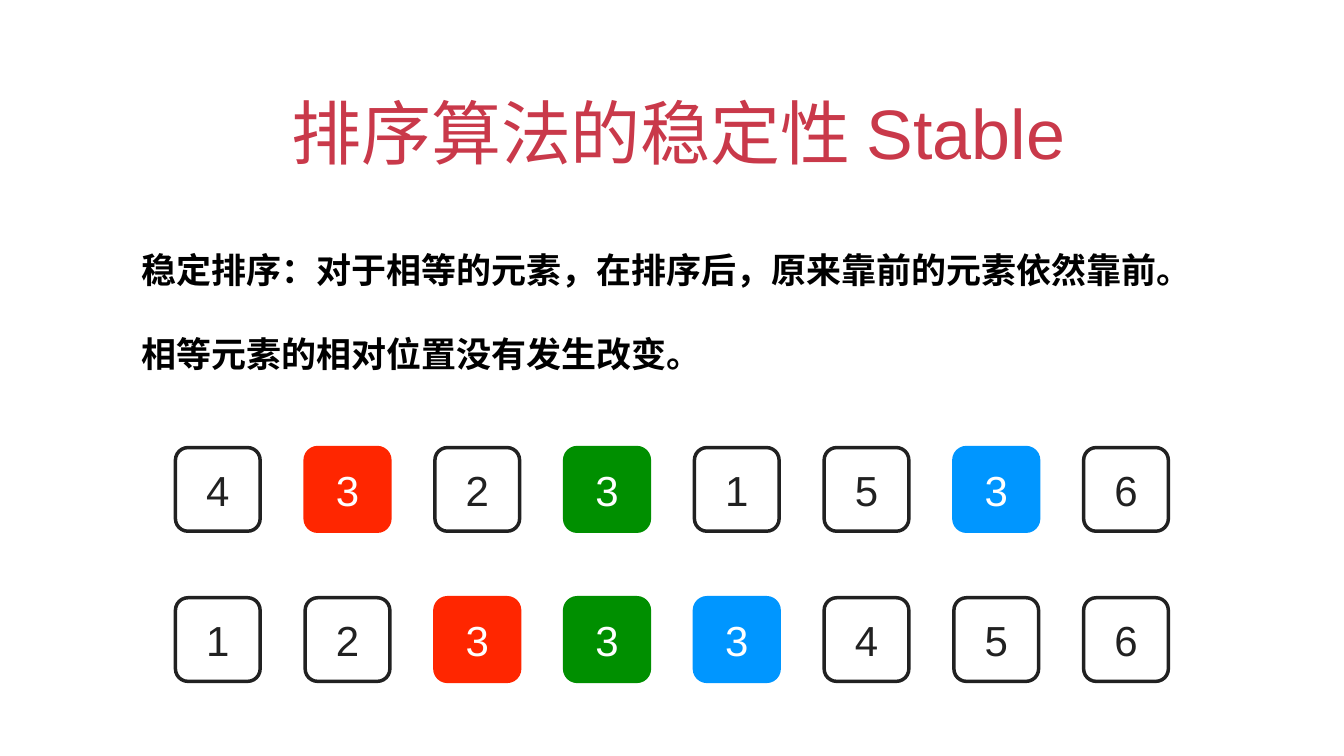
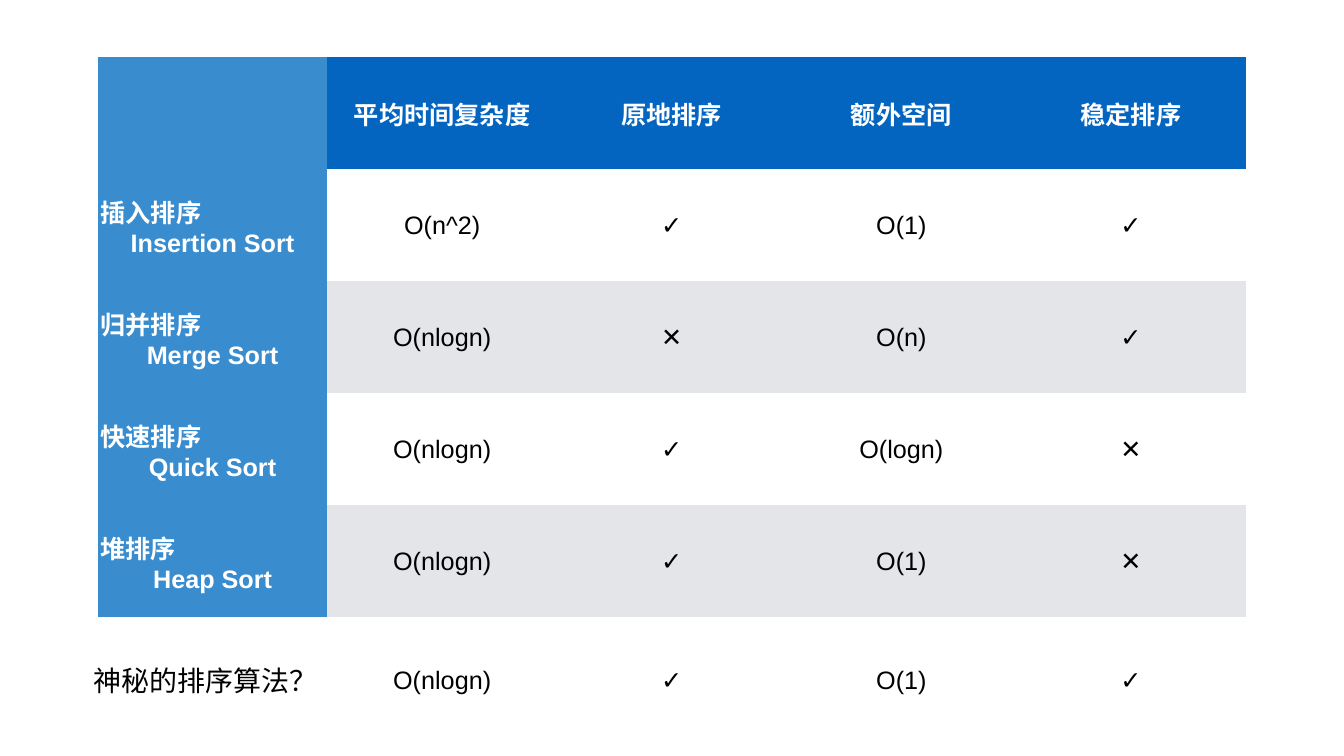
from dataclasses import dataclass

from lxml import etree
from pptx import Presentation
from pptx.dml.color import RGBColor
from pptx.enum.shapes import MSO_SHAPE
from pptx.enum.text import MSO_ANCHOR, PP_ALIGN
from pptx.oxml.ns import qn
from pptx.util import Pt

ROUNDED = MSO_SHAPE.ROUNDED_RECTANGLE
MIDDLE, BOTTOM = MSO_ANCHOR.MIDDLE, MSO_ANCHOR.BOTTOM
LEFT, CENTER = PP_ALIGN.LEFT, PP_ALIGN.CENTER
NO_STYLE_NO_GRID = "{2D5ABB26-0587-4C30-8999-92F81FD0307C}"


@dataclass(frozen=True)
class Theme:
    sans: str = "Arial"
    mono: str = "Noto Sans Mono"
    title: str = "C9394A"
    ink: str = "212121"
    black: str = "000000"
    white: str = "FFFFFF"
    red: str = "FF2600"
    green: str = "008F00"
    blue: str = "0096FF"
    header: str = "0365C0"
    row_header: str = "398CCE"
    band: str = "E3E5E8"
    title_size: int = 100
    number_size: int = 60
    body_size: int = 50
    caption_size: int = 40
    table_size: int = 36


THEME = Theme()
INSET = 4
TABLE_LEFT, COLUMN_WIDTH, ROW_HEIGHT = 139.7, 328, 160
TILE_LEFT, TILE_PITCH = 250.6, 185.35
TILE_WIDTH, TILE_HEIGHT = 121, 119.5

INPUT_TILES = [(4, None), (3, THEME.red), (2, None), (3, THEME.green),
               (1, None), (5, None), (3, THEME.blue), (6, None)]
SORTED_TILES = [(1, None), (2, None), (3, THEME.red), (3, THEME.green),
                (3, THEME.blue), (4, None), (5, None), (6, None)]

COMPARISON = [
    ["", "平均时间复杂度", "原地排序", "额外空间", "稳定排序"],
    ["插入排序\nInsertion Sort", "O(n^2)", "✓", "O(1)", "✓"],
    ["归并排序\nMerge Sort", "O(nlogn)", "✕", "O(n)", "✓"],
    ["快速排序\nQuick Sort", "O(nlogn)", "✓", "O(logn)", "✕"],
    ["堆排序\nHeap Sort", "O(nlogn)", "✓", "O(1)", "✕"],
]
MYSTERY = [["", "O(nlogn)", "✓", "O(1)", "✓"]]


def rgb(value):
    return RGBColor.from_string(value)


def apply(target, values):
    for name, value in values.items():
        setattr(target, name, value)


def add_line(para, text, size, color, align=CENTER, font=THEME.sans, bold=False):
    para.alignment = align
    span = para.add_run()
    span.text = text
    apply(span.font, {"name": font, "size": Pt(size), "bold": bold})
    span.font.color.rgb = rgb(color)


def set_margins(target):
    for side in ("left", "top", "right", "bottom"):
        setattr(target, f"margin_{side}", Pt(INSET))


def prepare_frame(shape, anchor=MIDDLE, wrap=True):
    frame = shape.text_frame
    set_margins(frame)
    apply(frame, {"vertical_anchor": anchor, "word_wrap": wrap})
    return frame


def add_text_box(page, left, top, width, height, **options):
    box = page.shapes.add_textbox(Pt(left), Pt(top), Pt(width), Pt(height))
    return prepare_frame(box, **options)


def add_title(page, text):
    para = add_text_box(page, TABLE_LEFT, 91.4, 1640, 160, anchor=BOTTOM).paragraphs[0]
    add_line(para, text, THEME.title_size, THEME.title)
    para._p.get_or_add_pPr().set("indent", str(Pt(18)))


def add_definition(page, lines):
    frame = add_text_box(page, 198.7, 340.6, 1523.5, 207.4)
    for index, line in enumerate(lines):
        para = frame.add_paragraph() if index else frame.paragraphs[0]
        apply(para, {"line_spacing": Pt(60), "space_before": Pt(60 if index else 0)})
        add_line(para, line, THEME.body_size, THEME.black, LEFT, THEME.mono, True)


def add_tile(group, left, top, number, color):
    """Add one array element; a colour marks it as one of the equal elements."""
    tile = group.shapes.add_shape(ROUNDED, Pt(left), Pt(top),
                                  Pt(TILE_WIDTH), Pt(TILE_HEIGHT))
    tile.shadow.inherit = False
    tile.adjustments[0] = 0.15
    if color:
        tile.fill.solid()
        tile.fill.fore_color.rgb = rgb(color)
    else:
        tile.fill.background()
    tile.line.width = Pt(5)
    tile.line.color.rgb = rgb(color or THEME.ink)
    add_line(prepare_frame(tile).paragraphs[0], str(number), THEME.number_size,
             THEME.white if color else THEME.ink)


def add_tile_row(page, top, tiles):
    group = page.shapes.add_group_shape()
    for index, (number, color) in enumerate(tiles):
        add_tile(group, TILE_LEFT + index * TILE_PITCH, top, number, color)


def cell_fill(row, column, has_headers):
    if not has_headers:
        return THEME.white
    if column == 0:
        return THEME.row_header
    if row == 0:
        return THEME.header
    return THEME.white if row % 2 else THEME.band


def fill_cell(cell, text, fill, is_header):
    set_margins(cell)
    cell.vertical_anchor = MIDDLE
    cell.fill.solid()
    cell.fill.fore_color.rgb = rgb(fill)
    if not text:
        return
    lines = text.split("\n")
    for index, line in enumerate(lines):
        frame = cell.text_frame
        para = frame.add_paragraph() if index else frame.paragraphs[0]
        is_last = index == len(lines) - 1
        add_line(para, line, THEME.table_size,
                 THEME.white if is_header else THEME.black,
                 CENTER if is_last else LEFT, bold=is_header)


def add_grid(page, top, row_height, rows, has_headers):
    columns = len(rows[0])
    table = page.shapes.add_table(
        len(rows), columns, Pt(TABLE_LEFT), Pt(top),
        Pt(columns * COLUMN_WIDTH), Pt(len(rows) * row_height)).table
    apply(table, {"first_row": has_headers, "first_col": has_headers,
                  "horz_banding": False})
    properties = table._tbl.tblPr
    style = properties.find(qn("a:tableStyleId"))
    if style is None:
        style = etree.SubElement(properties, qn("a:tableStyleId"))
    style.text = NO_STYLE_NO_GRID
    for column in table.columns:
        column.width = Pt(COLUMN_WIDTH)
    for row, texts in enumerate(rows):
        table.rows[row].height = Pt(row_height)
        for column, text in enumerate(texts):
            is_header = has_headers and (row == 0 or column == 0)
            fill_cell(table.cell(row, column), text,
                      cell_fill(row, column, has_headers), is_header)


def add_caption(page, text):
    frame = add_text_box(page, 129.6, 940.3, 329, 64, wrap=False)
    add_line(frame.paragraphs[0], text, THEME.caption_size, THEME.black)


def build_stability_page(page):
    add_title(page, "排序算法的稳定性 Stable")
    add_definition(page, ["稳定排序：对于相等的元素，在排序后，原来靠前的元素依然靠前。",
                          "相等元素的相对位置没有发生改变。"])
    add_tile_row(page, 639.4, INPUT_TILES)
    add_tile_row(page, 853.9, SORTED_TILES)


def build_comparison_page(page):
    add_grid(page, 82, ROW_HEIGHT, COMPARISON, has_headers=True)
    add_grid(page, 888.5, 168, MYSTERY, has_headers=False)
    add_caption(page, "神秘的排序算法？")


def main():
    deck = Presentation()
    apply(deck, {"slide_width": Pt(1920), "slide_height": Pt(1080)})
    blank = deck.slide_layouts[6]
    for build in (build_stability_page, build_comparison_page):
        build(deck.slides.add_slide(blank))
    deck.save("out.pptx")


if __name__ == "__main__":
    main()
